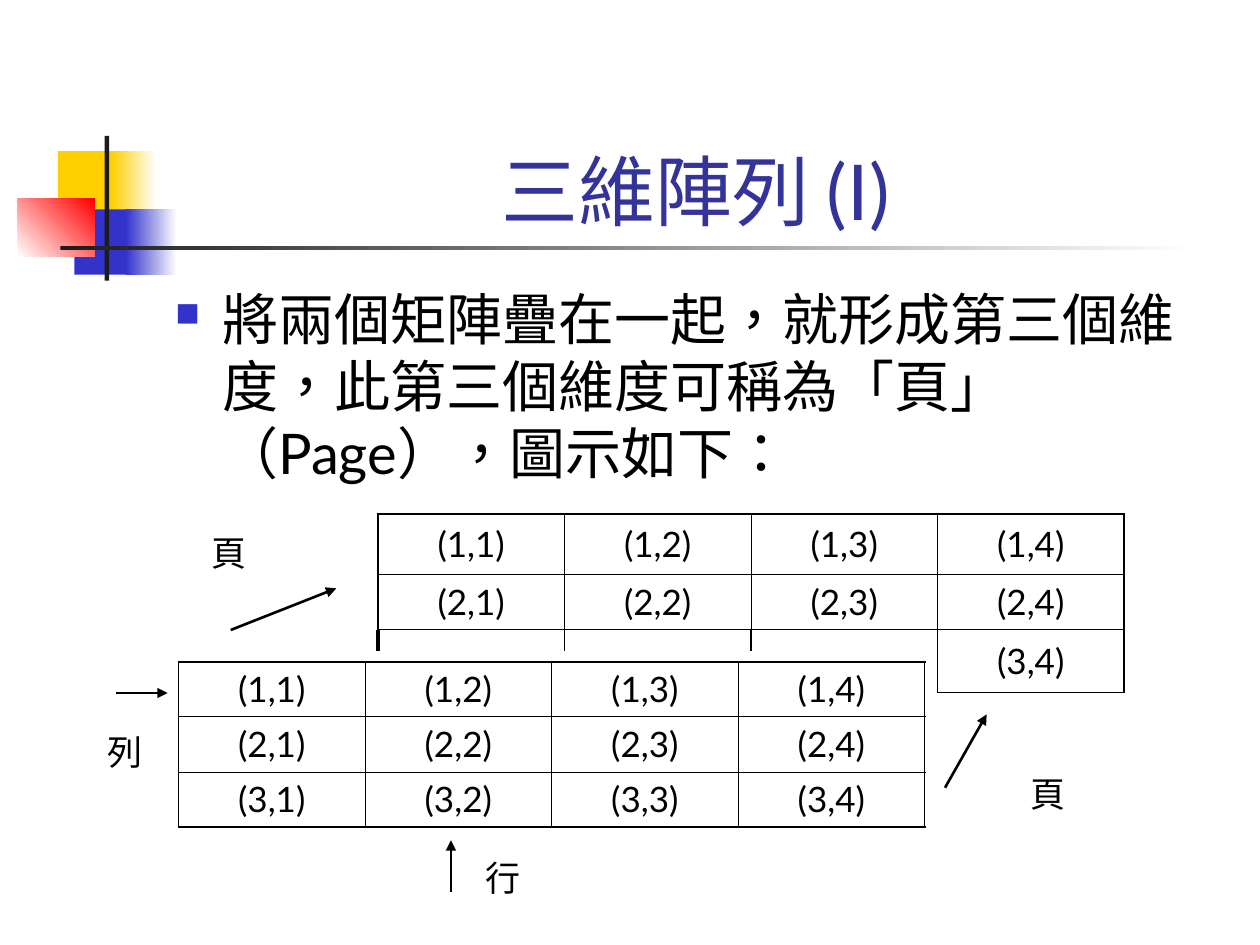
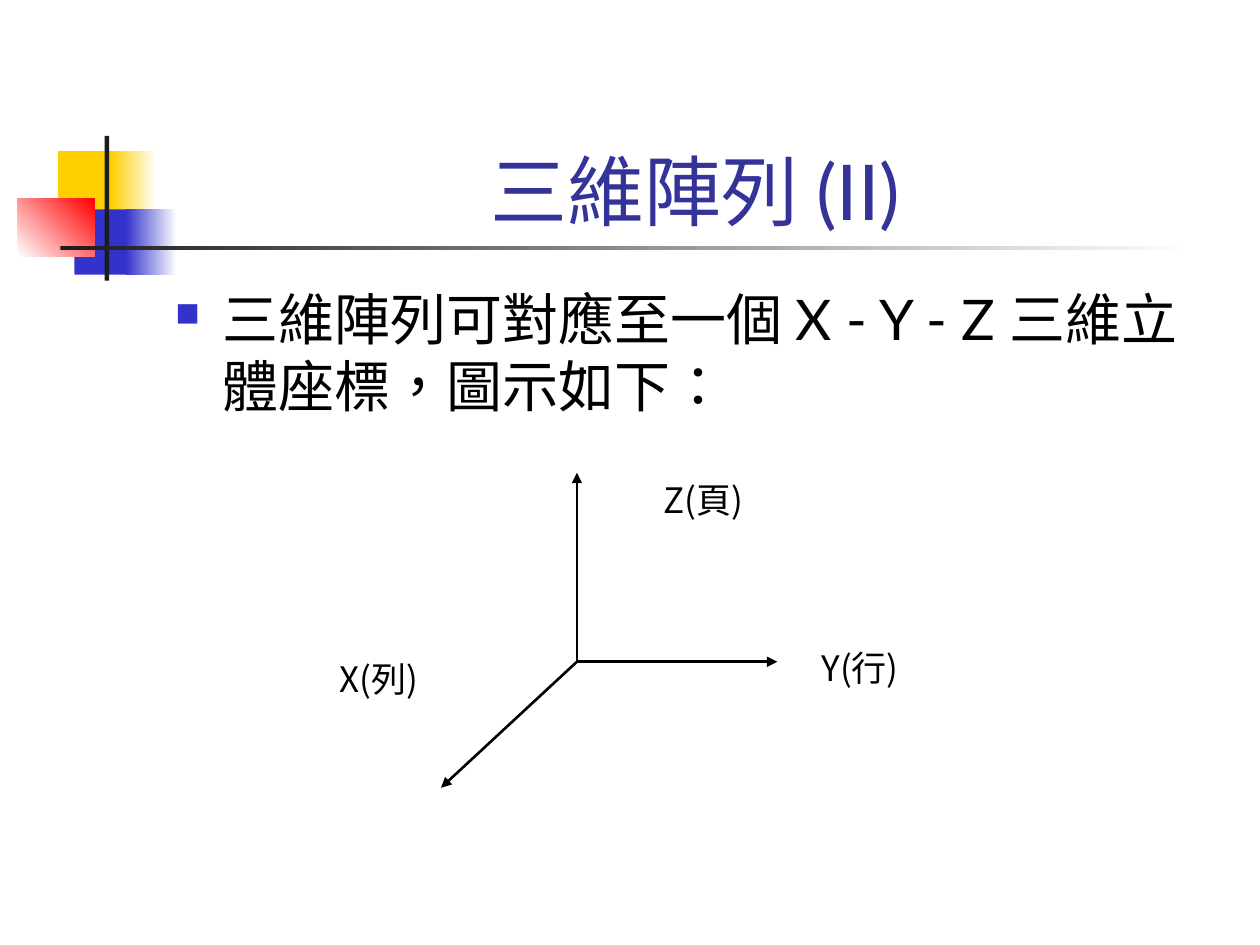
from dataclasses import dataclass

from lxml.etree import SubElement
from pptx import Presentation
from pptx.dml.color import RGBColor
from pptx.enum.lang import MSO_LANGUAGE_ID
from pptx.enum.shapes import MSO_CONNECTOR, MSO_SHAPE
from pptx.enum.text import MSO_ANCHOR, MSO_AUTO_SIZE, PP_ALIGN
from pptx.oxml.ns import qn
from pptx.util import Cm, Pt

LATIN_FONT = "Lato"
CHINESE_FONT = "Noto Sans CJK SC"
BLACK = "000000"
WHITE = "FFFFFF"
TITLE_BLUE = "333399"
BLUE = "3333CC"
YELLOW = "FFCF01"
RED = "FF0000"
CHARCOAL = "1C1C1C"

COLUMN_WIDTH = 3.76
COLUMN_COUNT = 4
ROW_HEIGHT = 1.11
BACK_PAGE_LEFT = 7.62
HIDDEN_ROW_TOP = 12.7
OUTER_BORDER = 1.08
INNER_BORDER = 0.45


@dataclass(frozen=True)
class Box:
    left: float
    top: float
    width: float
    height: float

    def lengths(self) -> tuple:
        return Cm(self.left), Cm(self.top), Cm(self.width), Cm(self.height)


@dataclass(frozen=True)
class Block:
    box: Box
    start: str
    end: str = ""
    angle: int = 0


@dataclass(frozen=True)
class Line:
    start: tuple[float, float]
    end: tuple[float, float]
    width: float = 1.5
    arrow: bool = True


@dataclass(frozen=True)
class Label:
    text: str
    left: float
    top: float
    width: float
    font: str = LATIN_FONT
    alignment: PP_ALIGN = PP_ALIGN.LEFT


@dataclass(frozen=True)
class Page:
    left: float
    top: float
    row_heights: tuple[float, ...]
    hidden_cells: int = 0


TITLE_BOX = Box(3.2, 1.7, 21.64, 3.18)
BODY_BOX = Box(3.28, 5.61, 21.59, 11.43)

EMBLEM = (
    Block(Box(1.17, 3.05, 1.22, 1.32), YELLOW),
    Block(Box(2.24, 3.05, 0.91, 1.32), YELLOW, WHITE),
    Block(Box(1.5, 4.22, 1.17, 1.32), BLUE),
    Block(Box(2.54, 4.22, 1.02, 1.32), BLUE, WHITE),
    Block(Box(0.36, 4.01, 1.55, 1.17), WHITE, RED, 45),
    Block(Box(2.11, 2.74, 0.09, 2.92), CHARCOAL),
    Block(Box(1.22, 4.95, 22.86, 0.09), CHARCOAL, WHITE),
)

PAGES = (
    Page(BACK_PAGE_LEFT, 10.36, (1.22, ROW_HEIGHT, 1.27), hidden_cells=3),
    Page(3.6, 13.34, (ROW_HEIGHT,) * 3),
)

PAGE_ARROWS = (
    Line((4.65, 12.7), (6.78, 11.86)),
    Line((2.34, 13.97), (3.38, 13.97)),
    Line((9.09, 17.98), (9.09, 16.94)),
    Line((19.05, 15.88), (19.89, 14.4)),
)

PAGE_LABELS = (
    Label("頁", 20.52, 15.44, 1.91),
    Label("行", 9.53, 17.15, 1.91),
    Label("頁", 4.01, 10.59, 1.27),
    Label("列", 1.91, 14.61, 1.27),
)

ORIGIN = (11.63, 13.34)
AXIS_ENDS = ((11.63, 9.53), (15.67, 13.34), (8.89, 15.88))
AXIS_LABELS = (
    Label("Z(頁)", 13.13, 9.53, 2.97, CHINESE_FONT),
    Label("Y(行)", 16.31, 12.9, 2.97, CHINESE_FONT),
    Label("X(列)", 5.72, 13.13, 2.97, CHINESE_FONT, PP_ALIGN.RIGHT),
)


def rgb(color: str) -> RGBColor:
    return RGBColor.from_string(color)


def add_run(paragraph, text: str, size: float, color: str = BLACK, font: str = LATIN_FONT) -> None:
    run = paragraph.add_run()
    run.text = text
    run.font.size = Pt(size)
    run.font.color.rgb = rgb(color)
    run.font.name = font
    run.font.language_id = MSO_LANGUAGE_ID.TRADITIONAL_CHINESE
    SubElement(run.font._element, qn("a:ea"), typeface=CHINESE_FONT)


def add_block(slide, block: Block) -> None:
    shape = slide.shapes.add_shape(MSO_SHAPE.RECTANGLE, *block.box.lengths())
    shape.shadow.inherit = False
    shape.line.fill.background()
    if not block.end:
        shape.fill.solid()
        shape.fill.fore_color.rgb = rgb(block.start)
        return
    shape.fill.gradient()
    shape.fill.gradient_angle = block.angle
    for stop, color in zip(shape.fill.gradient_stops, (block.start, block.end)):
        stop.color.rgb = rgb(color)


def add_line(slide, line: Line) -> None:
    points = [Cm(value) for value in (*line.start, *line.end)]
    connector = slide.shapes.add_connector(MSO_CONNECTOR.STRAIGHT, *points)
    connector.line.width = Pt(line.width)
    connector.line.color.rgb = rgb(BLACK)
    if line.arrow:
        SubElement(connector.line._get_or_add_ln(), qn("a:tailEnd"), type="triangle")
    SubElement(connector._element.spPr, qn("a:effectLst"))


def add_label(slide, label: Label) -> None:
    box = Box(label.left, label.top, label.width, 1.12)
    frame = slide.shapes.add_textbox(*box.lengths()).text_frame
    frame.word_wrap = True
    frame.auto_size = MSO_AUTO_SIZE.SHAPE_TO_FIT_TEXT
    paragraph = frame.paragraphs[0]
    paragraph.alignment = label.alignment
    paragraph.space_before = Pt(12.5)
    add_run(paragraph, label.text, 20, font=label.font)


def set_title(slide, text: str) -> None:
    title = slide.shapes.title
    title.left, title.top, title.width, title.height = TITLE_BOX.lengths()
    frame = title.text_frame
    frame.vertical_anchor = MSO_ANCHOR.BOTTOM
    frame.auto_size = MSO_AUTO_SIZE.NONE
    paragraph = frame.paragraphs[0]
    paragraph.alignment = PP_ALIGN.CENTER
    add_run(paragraph, text, 44, TITLE_BLUE)


def add_body(slide, text: str) -> None:
    frame = slide.shapes.add_textbox(*BODY_BOX.lengths()).text_frame
    frame.word_wrap = True
    paragraph = frame.paragraphs[0]
    paragraph.space_before = Pt(8)
    properties = paragraph._p.get_or_add_pPr()
    properties.set("marL", str(Cm(0.95)))
    properties.set("indent", str(-Cm(0.95)))
    bullet_color = SubElement(properties, qn("a:buClr"))
    SubElement(bullet_color, qn("a:srgbClr"), val=BLUE)
    SubElement(properties, qn("a:buSzPct"), val="60000")
    SubElement(properties, qn("a:buChar"), char="■")
    add_run(paragraph, text, 32)


def set_borders(cell, widths: dict[str, float]) -> None:
    properties = cell._tc.get_or_add_tcPr()
    for side, width in widths.items():
        border = SubElement(properties, qn(f"a:ln{side}"), w=str(Pt(width)))
        if width:
            fill = SubElement(border, qn("a:solidFill"))
            SubElement(fill, qn("a:srgbClr"), val=BLACK)
        else:
            SubElement(border, qn("a:noFill"))


def add_page(slide, page: Page) -> None:
    row_count = len(page.row_heights)
    box = Box(page.left, page.top, COLUMN_WIDTH * COLUMN_COUNT, sum(page.row_heights))
    table = slide.shapes.add_table(row_count, COLUMN_COUNT, *box.lengths()).table
    table.first_row = False
    table.horz_banding = False
    for column in table.columns:
        column.width = Cm(COLUMN_WIDTH)
    last_row, last_column = row_count - 1, COLUMN_COUNT - 1
    for row, height in enumerate(page.row_heights):
        table.rows[row].height = Cm(height)
        for column in range(COLUMN_COUNT):
            cell = table.cell(row, column)
            hidden = row == last_row and column < page.hidden_cells
            borders = {
                "L": OUTER_BORDER if column == 0 else INNER_BORDER,
                "R": OUTER_BORDER if column == last_column else INNER_BORDER,
                "T": OUTER_BORDER if row == 0 else INNER_BORDER,
                "B": OUTER_BORDER if row == last_row else INNER_BORDER,
            }
            if hidden:
                borders |= {"L": 0, "B": 0}
            set_borders(cell, borders)
            cell.fill.background()
            cell.vertical_anchor = MSO_ANCHOR.MIDDLE
            if not hidden:
                paragraph = cell.text_frame.paragraphs[0]
                paragraph.alignment = PP_ALIGN.CENTER
                paragraph.space_before = Pt(5)
                add_run(paragraph, f"({row + 1},{column + 1})", 20)
    if page.hidden_cells:
        table.cell(last_row, 0).merge(table.cell(last_row, page.hidden_cells - 1))


def add_slide(presentation, title: str, body: str):
    slide = presentation.slides.add_slide(presentation.slide_layouts[5])
    for block in EMBLEM:
        add_block(slide, block)
    set_title(slide, title)
    add_body(slide, body)
    return slide


def add_stacked_pages(presentation) -> None:
    slide = add_slide(
        presentation,
        "三維陣列 (I)",
        "將兩個矩陣疊在一起，就形成第三個維度，此第三個維度可稱為「頁」（Page），圖示如下：",
    )
    for page in PAGES:
        add_page(slide, page)
    for index, width in enumerate((2.25, 0.75, 0.75)):
        x = BACK_PAGE_LEFT + index * COLUMN_WIDTH
        add_line(slide, Line((x, HIDDEN_ROW_TOP), (x, HIDDEN_ROW_TOP + 0.43), width, arrow=False))
    for arrow in PAGE_ARROWS:
        add_line(slide, arrow)
    for label in PAGE_LABELS:
        add_label(slide, label)


def add_axes(presentation) -> None:
    slide = add_slide(
        presentation,
        "三維陣列 (II)",
        "三維陣列可對應至一個 X - Y - Z 三維立體座標，圖示如下：",
    )
    for end in AXIS_ENDS:
        add_line(slide, Line(ORIGIN, end))
    for label in AXIS_LABELS:
        add_label(slide, label)


def main() -> None:
    presentation = Presentation()
    presentation.slide_width = Cm(25.4)
    presentation.slide_height = Cm(19.05)
    add_stacked_pages(presentation)
    add_axes(presentation)
    presentation.save("out.pptx")


if __name__ == "__main__":
    main()
